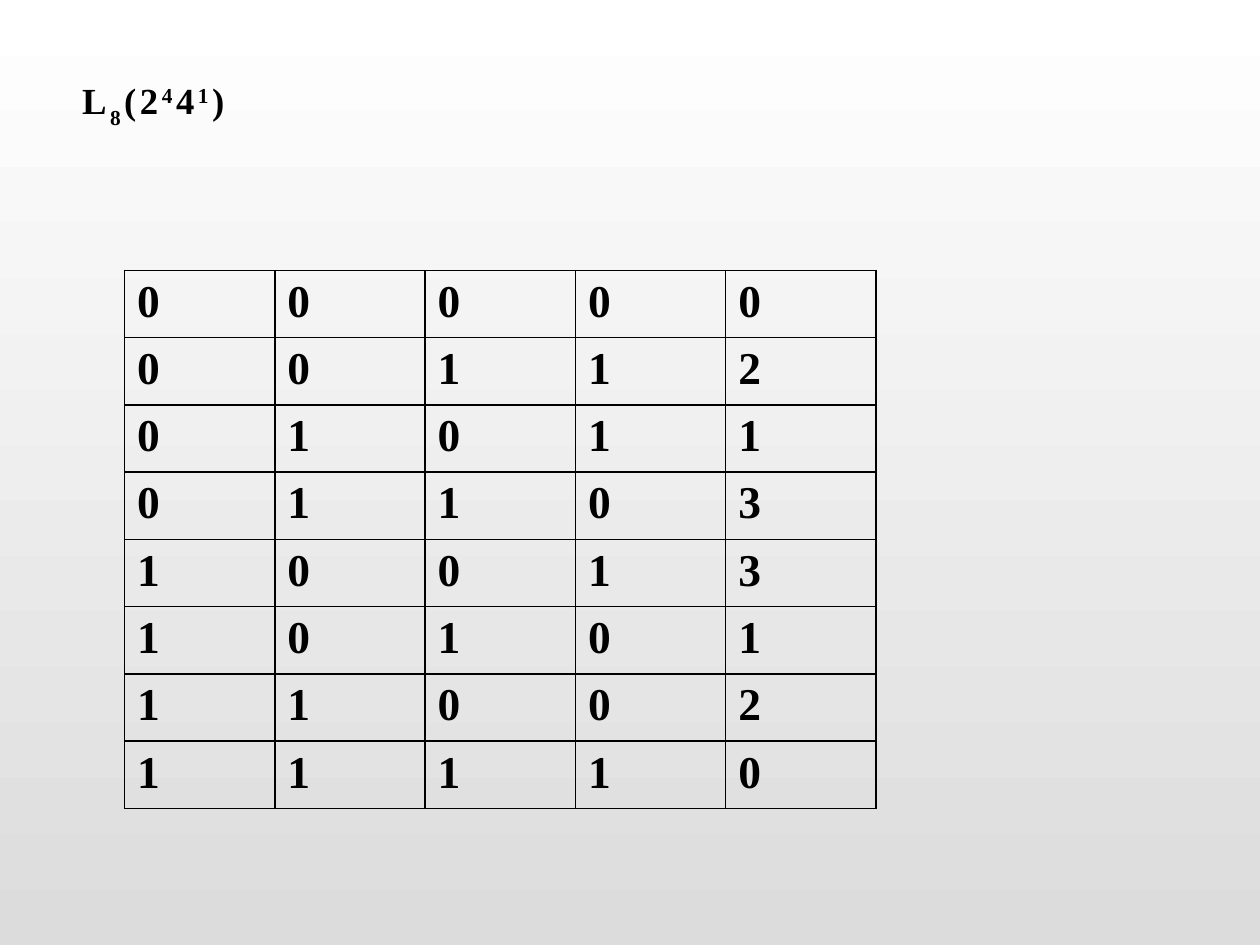
from lxml import etree
from pptx import Presentation
from pptx.dml.color import RGBColor
from pptx.enum.text import MSO_ANCHOR, PP_ALIGN
from pptx.oxml.ns import qn
from pptx.util import Cm, Pt

LEFT = PP_ALIGN.LEFT
TOP = MSO_ANCHOR.TOP
MIDDLE = MSO_ANCHOR.MIDDLE
TITLE_ONLY = 5

COLORS = {"text": "000000", "border": "000000", "sky": "FFFFFF", "ground": "DCDCDC"}
TITLE_RUNS = [("L", 0), ("8", -30), ("(2", 0), ("4", 30), ("4", 0), ("1", 30), (")", 0)]
ARRAY_ROWS = ["00000", "00112", "01011", "01103", "10013", "10101", "11002", "11110"]


class ArraySlide:
    """Hold the slide and the style of an orthogonal array page."""

    font = "Times New Roman"
    title_size = 21
    cell_size = 26
    border_width = 1

    def __init__(self, presentation):
        self.slide = presentation.slides.add_slide(presentation.slide_layouts[TITLE_ONLY])

    def background(self, top, bottom):
        fill = self.slide.background.fill
        fill.gradient()
        fill.gradient_angle = 270
        for stop, color in zip(fill.gradient_stops, (top, bottom)):
            stop.color.rgb = RGBColor.from_string(COLORS[color])

    def add_run(self, paragraph, text, size):
        run = paragraph.add_run()
        run.text = text
        run.font.name = self.font
        run.font.size = Pt(size)
        run.font.bold = True
        run.font.color.rgb = RGBColor.from_string(COLORS["text"])
        return run

    def title(self, runs, left, top, width, height):
        shape = self.slide.shapes.title
        shape.left, shape.top, shape.width, shape.height = left, top, width, height
        shape.text_frame.vertical_anchor = MIDDLE
        paragraph = shape.text_frame.paragraphs[0]
        paragraph.alignment = LEFT
        for text, baseline in runs:
            run = self.add_run(paragraph, text, self.title_size)
            properties = run._r.get_or_add_rPr()
            properties.set("spc", "200")
            if baseline:
                properties.set("baseline", str(baseline * 1000))

    def border(self, cell):
        properties = cell._tc.get_or_add_tcPr()
        for index, side in enumerate(("lnL", "lnR", "lnT", "lnB")):
            line = etree.Element(qn(f"a:{side}"), w=str(Pt(self.border_width)))
            fill = etree.SubElement(line, qn("a:solidFill"))
            etree.SubElement(fill, qn("a:srgbClr"), val=COLORS["border"])
            properties.insert(index, line)

    def table(self, rows, left, top, width, height):
        shape = self.slide.shapes.add_table(len(rows), len(rows[0]), left, top, width, height)
        table = shape.table
        table.first_row = False
        table.horz_banding = False
        for row_index, row in enumerate(rows):
            for column_index, level in enumerate(row):
                cell = table.cell(row_index, column_index)
                cell.fill.background()
                cell.vertical_anchor = TOP
                self.border(cell)
                self.add_run(cell.text_frame.paragraphs[0], level, self.cell_size)


def main():
    presentation = Presentation()
    presentation.slide_width = Cm(25.4)
    presentation.slide_height = Cm(19.05)
    page = ArraySlide(presentation)
    page.background("sky", "ground")
    page.title(TITLE_RUNS, Cm(1.4), Cm(1.2), Cm(22.6), Cm(1.8))
    page.table(ARRAY_ROWS, Cm(2.51), Cm(5.45), Cm(15.15), Cm(10.85))
    presentation.save("out.pptx")


if __name__ == "__main__":
    main()
